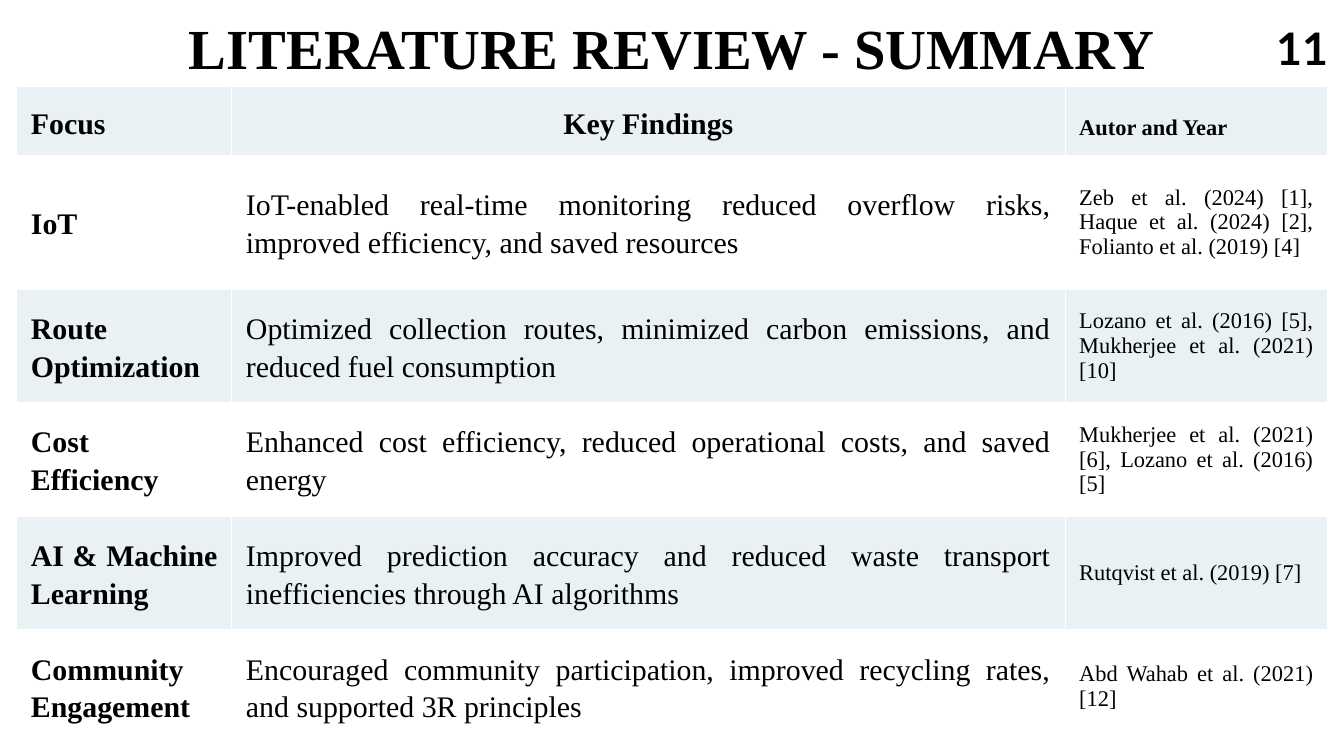
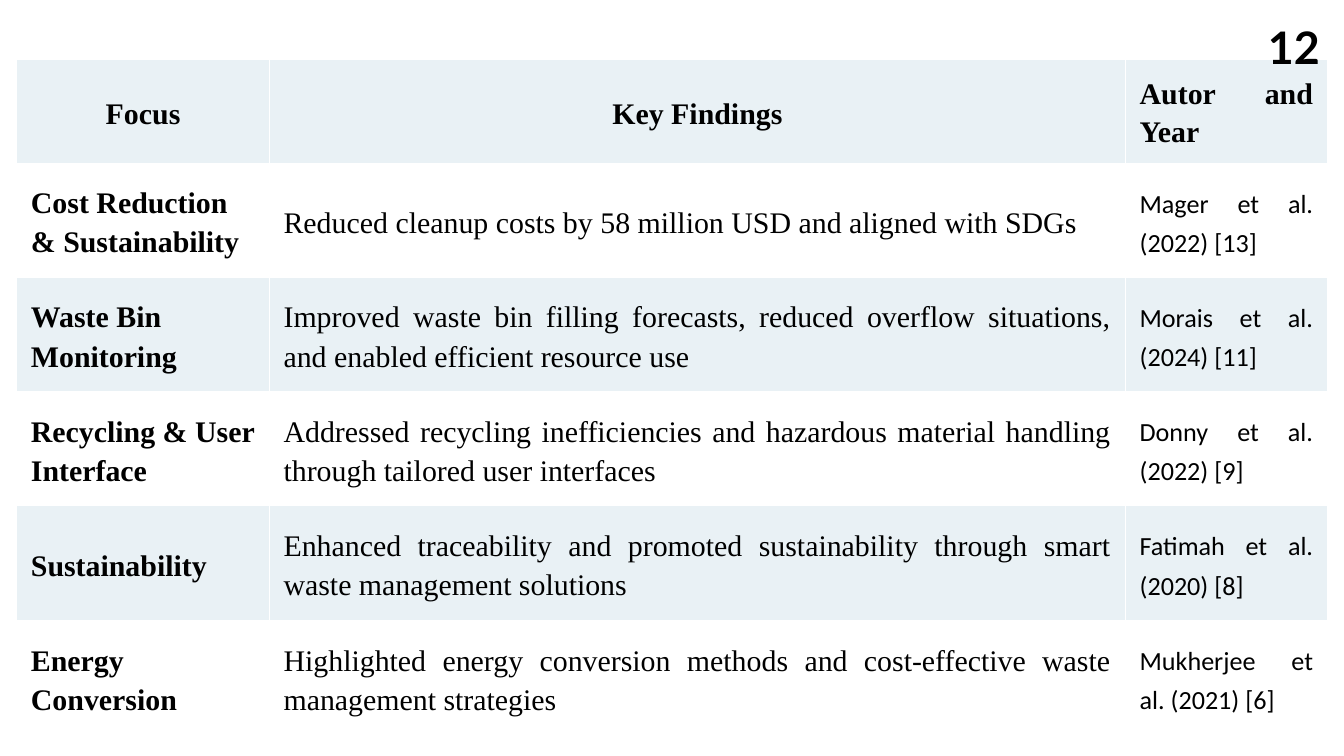
from dataclasses import dataclass

from lxml import etree
from pptx import Presentation, util as u
from pptx.dml.color import RGBColor
from pptx.enum import text
from pptx.oxml.ns import qn

PX = 9144  # 100 px to the inch
LEFT, CENTER, JUSTIFY = text.PP_ALIGN.LEFT, text.PP_ALIGN.CENTER, text.PP_ALIGN.JUSTIFY


@dataclass(frozen=True)
class Theme:
    ink: str = "000000"
    paper: str = "FFFFFF"
    band: str = "E9F1F5"
    serif: str = "Times New Roman"
    sans: str = "Calibri"
    number_font: str = "Lato"
    title: float = 60.6
    number: int = 48
    body: int = 32
    small_sans: int = 28
    small: int = 24
    tight: float = 40.6
    loose: int = 42
    cell_inset: int = 21


T = Theme()


def write(tf, words, align, spacing, size, font, bold):
    """Fill a text frame with one styled paragraph."""
    tf.text = words
    tf.word_wrap = True
    p = tf.paragraphs[0]
    p.alignment = align
    if spacing:
        p.line_spacing = u.Pt(spacing)
    r = p.runs[0]
    r.font.size, r.font.name, r.font.bold = u.Pt(size), font, bold
    r.font.color.rgb = RGBColor.from_string(T.ink)


def add_label(s, box, words, spacing, size, font):
    sp = s.shapes.add_textbox(*(n * PX for n in box))
    tf = sp.text_frame
    tf.margin_left = tf.margin_top = tf.margin_right = tf.margin_bottom = 0
    write(tf, words, CENTER, spacing, size, font, True)
    tf.auto_size = text.MSO_AUTO_SIZE.SHAPE_TO_FIT_TEXT


# Column styles: alignment, line spacing, size, font, bold
centered_head = (CENTER, T.loose, T.body, T.serif, True)
slides = [
    {
        "title": "LITERATURE REVIEW - SUMMARY",
        "number": "11",
        "number_box": (1877, -21, 121, 117),
        "top": 129,
        "widths": (320, 1240, 390),
        "heights": (99, 199, 169, 169, 169, 169),
        "head": [(JUSTIFY, 43.4, T.body, T.serif, True), centered_head,
                 (JUSTIFY, T.tight, T.small, T.serif, True)],
        "body": [(JUSTIFY, T.tight, T.body, T.serif, True),
                 (JUSTIFY, T.tight, T.body, T.serif, False),
                 (JUSTIFY, None, T.small, T.serif, False)],
        "rows": [
            ("IoT",
             "IoT-enabled real-time monitoring reduced overflow risks, improved efficiency, and saved resources",
             "Zeb et al. (2024) [1], Haque et al. (2024) [2], Folianto et al. (2019) [4]"),
            ("Route Optimization",
             "Optimized collection routes, minimized carbon emissions, and reduced fuel consumption",
             "Lozano et al. (2016) [5], Mukherjee et al. (2021) [10]"),
            ("Cost Efficiency",
             "Enhanced cost efficiency, reduced operational costs, and saved energy",
             "Mukherjee et al. (2021) [6], Lozano et al. (2016) [5]"),
            ("AI & Machine Learning",
             "Improved prediction accuracy and reduced waste transport inefficiencies through AI algorithms",
             "Rutqvist et al. (2019) [7]"),
            ("Community Engagement",
             "Encouraged community participation, improved recycling rates, and supported 3R principles",
             "Abd Wahab et al. (2021) [12]"),
        ],
    },
    {
        "title": None,
        "number": "12",
        "number_box": (1876, -22, 99, 119),
        "top": 88,
        "widths": (376, 1274, 300),
        "heights": (148, 170, 170, 170, 170, 171),
        "head": [centered_head, centered_head, (JUSTIFY, T.tight, T.body, T.serif, True)],
        "body": [(LEFT, T.loose, T.body, T.serif, True),
                 (JUSTIFY, T.loose, T.body, T.serif, False),
                 (JUSTIFY, T.loose, T.small_sans, T.sans, False)],
        "rows": [
            ("Cost Reduction & Sustainability",
             "Reduced cleanup costs by 58 million USD and aligned with SDGs",
             "Mager et al. (2022) [13]"),
            ("Waste Bin Monitoring",
             "Improved waste bin filling forecasts, reduced overflow situations, and enabled efficient resource use",
             "Morais et al. (2024) [11]"),
            ("Recycling & User Interface",
             "Addressed recycling inefficiencies and hazardous material handling through tailored user interfaces",
             "Donny et al. (2022) [9]"),
            ("Sustainability",
             "Enhanced traceability and promoted sustainability through smart waste management solutions",
             "Fatimah et al. (2020) [8]"),
            ("Energy Conversion",
             "Highlighted energy conversion methods and cost-effective waste management strategies",
             "Mukherjee et al. (2021) [6]"),
        ],
    },
]
header = ("Focus", "Key Findings", "Autor and Year")

prs = Presentation()
prs.slide_width, prs.slide_height = 2000 * PX, 1125 * PX

for page in slides:
    s = prs.slides.add_slide(prs.slide_layouts[6])
    s.background.fill.solid()
    s.background.fill.fore_color.rgb = RGBColor.from_string(T.paper)

    rows = [header, *page["rows"]]
    widths, heights = page["widths"], page["heights"]
    table = s.shapes.add_table(len(rows), len(header), 25 * PX, page["top"] * PX,
                               sum(widths) * PX, sum(heights) * PX).table
    for column, width in zip(table.columns, widths):
        column.width = width * PX
    for row, height in zip(table.rows, heights):
        row.height = height * PX

    for i, row in enumerate(rows):
        styles = page["body"] if i else page["head"]
        for j, (words, style) in enumerate(zip(row, styles)):
            cell = table.cell(i, j)
            write(cell.text_frame, words, *style)
            cell.vertical_anchor = text.MSO_ANCHOR.MIDDLE
            cell.margin_left = cell.margin_right = T.cell_inset * PX
            cell.margin_top = cell.margin_bottom = T.cell_inset * PX
            tcPr = cell._tc.get_or_add_tcPr()
            for side in ("a:lnL", "a:lnR", "a:lnT", "a:lnB"):
                ln = etree.SubElement(tcPr, qn(side), w=str(u.Pt(1)))
                fill = etree.SubElement(ln, qn("a:solidFill"))
                etree.SubElement(fill, qn("a:srgbClr"), val=T.paper)
            cell.fill.solid()
            cell.fill.fore_color.rgb = RGBColor.from_string(T.paper if i % 2 else T.band)

    if page["title"]:
        add_label(s, (162, 2, 1675, 109), page["title"], 84.9, T.title, T.serif)
    add_label(s, page["number_box"], page["number"], 94.7, T.number, T.number_font)

prs.save("out.pptx")
